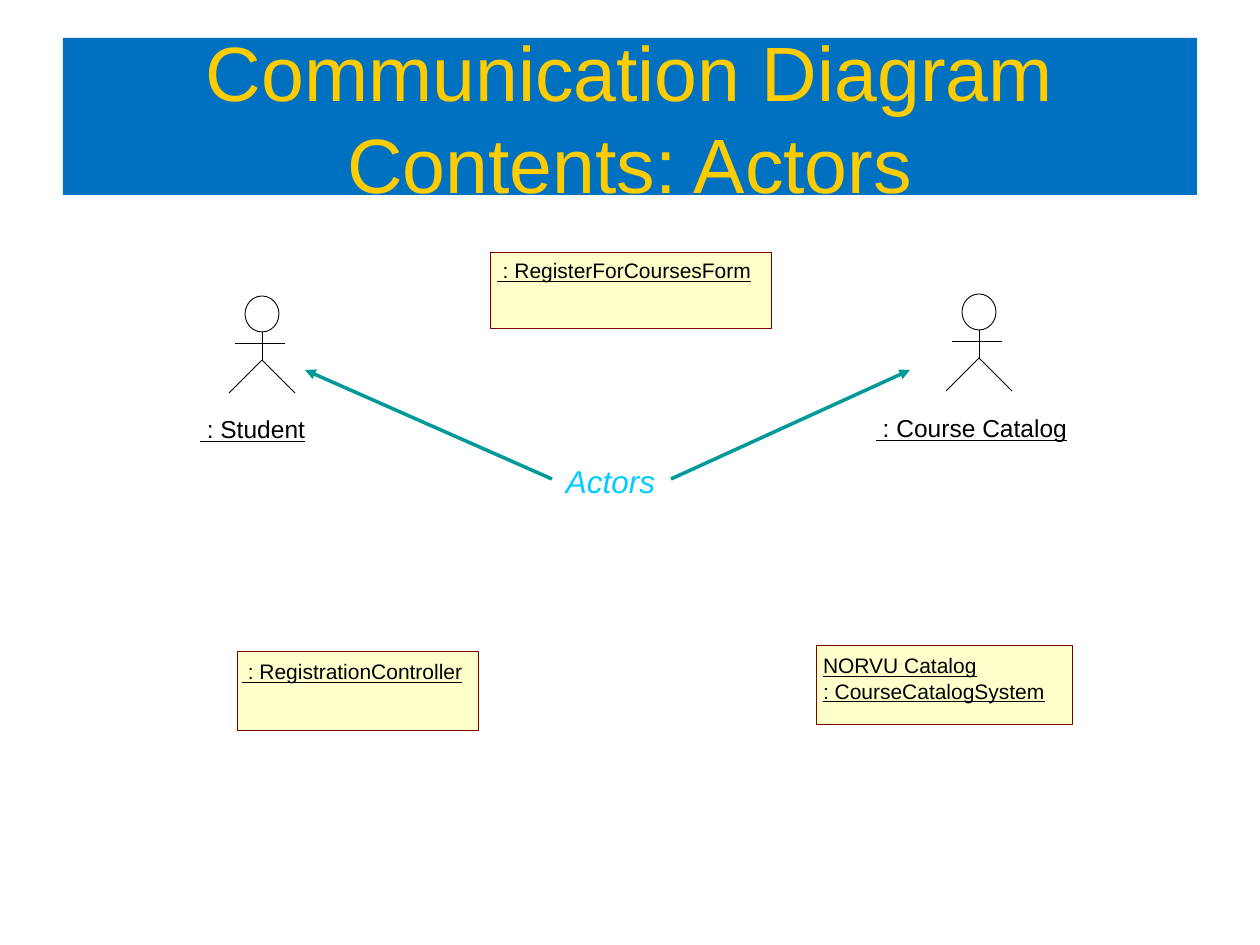
from lxml import etree
from pptx import Presentation
from pptx.dml.color import RGBColor
from pptx.enum.shapes import MSO_CONNECTOR, MSO_SHAPE
from pptx.enum.text import MSO_ANCHOR, MSO_AUTO_SIZE, PP_ALIGN
from pptx.oxml.ns import qn
from pptx.util import Emu, Pt

PX = 914400 / 126
LINE = MSO_CONNECTOR.STRAIGHT
RECT, OVAL = MSO_SHAPE.RECTANGLE, MSO_SHAPE.OVAL
MIDDLE, CENTER = MSO_ANCHOR.MIDDLE, PP_ALIGN.CENTER
GROW = MSO_AUTO_SIZE.SHAPE_TO_FIT_TEXT
FONT = "Arial"
HEX = {
    "banner": "0070C0", "title": "FFCC00", "box": "FFFFCC", "edge": "800000",
    "ink": "000000", "note": "00CCFF", "arrow": "009999",
}


def px(*nums):
    return [Emu(round(n * PX)) for n in nums]


def tint(name):
    return RGBColor.from_string(HEX[name])


def style(frame, size, color, under=None, slant=None):
    for para in frame.paragraphs:
        for run in para.runs:
            font = run.font
            font.name, font.size = FONT, Pt(size)
            font.color.rgb = tint(color)
            font.underline, font.italic = under, slant


def add_form(home, kind, area, fill=None, edge=None):
    form = home.shapes.add_shape(kind, *px(*area))
    form.shadow.inherit = False
    if fill:
        form.fill.solid()
        form.fill.fore_color.rgb = tint(fill)
    else:
        form.fill.background()
    if edge:
        form.line.color.rgb = tint(edge)
        form.line.width = Pt(0.5)
    else:
        form.line.fill.background()
    return form


def add_line(home, ends, color="ink", width=0.5, arrow=False):
    line = home.shapes.add_connector(LINE, *px(*ends))
    line.line.color.rgb = tint(color)
    line.line.width = Pt(width)
    if arrow:
        etree.SubElement(line.line._get_or_add_ln(), qn("a:tailEnd"), type="triangle")
    etree.SubElement(line._element.spPr, qn("a:effectLst"))


def add_label(home, area, text, size, color="ink", pad=(0, 0), **look):
    frame = home.shapes.add_textbox(*px(*area)).text_frame
    frame.margin_left = frame.margin_right = px(pad[0])[0]
    frame.margin_top = frame.margin_bottom = px(pad[1])[0]
    frame.word_wrap, frame.auto_size = True, GROW
    frame.text = text
    style(frame, size, color, **look)


def add_title(slide, text):
    form = add_form(slide, RECT, (63, 38, 1134, 157), "banner")
    frame = form.text_frame
    frame.word_wrap, frame.vertical_anchor = True, MIDDLE
    frame.text = text
    frame.paragraphs[0].alignment = CENTER
    style(frame, 44, "title")


def add_object(slide, box, area, text):
    """Draw a UML object: a box with an underlined name."""
    group = slide.shapes.add_group_shape()
    add_form(group, RECT, box, "box", "edge")
    add_label(group, area, text, 12, under=True)


def add_actor(slide, mid, top, area, name):
    """Draw a stick figure about the line x = mid, with its name below."""
    group = slide.shapes.add_group_shape()
    add_form(group, OVAL, (mid - 17, top, 34, 36), edge="ink")
    hip, foot, arm = top + 64, top + 97, top + 47
    add_line(group, (mid, top + 36, mid, hip))
    for side in (33, -33):
        add_line(group, (mid + side, foot, mid, hip))
    add_line(group, (mid - 27, arm, mid + 23, arm))
    add_label(slide, area, name, 14, under=True)


def main():
    deck = Presentation()
    deck.slide_width, deck.slide_height = px(1260, 945)
    slide = deck.slides.add_slide(deck.slide_layouts[6])
    add_title(slide, "Communication Diagram Contents: Actors")
    for box, area, text in (
        ((490, 252, 281, 77), (497, 258, 264, 25), " : RegisterForCoursesForm"),
        ((237, 651, 242, 79), (242, 659, 230, 25), " : RegistrationController"),
        ((816, 645, 256, 79), (823, 653, 232, 50),
         "NORVU Catalog\n: CourseCatalogSystem"),
    ):
        add_object(slide, box, area, text)
    add_actor(slide, 979, 294, (876, 413, 201, 29), " : Course Catalog")
    add_actor(slide, 262, 296, (200, 414, 116, 29), " : Student")
    add_label(slide, (551, 454, 129, 53), "Actors", 18, "note", (15, 8), slant=True)
    for ends in ((552, 479, 305, 370), (671, 479, 910, 370)):
        add_line(slide, ends, "arrow", 2, True)
    deck.save("out.pptx")


if __name__ == "__main__":
    main()
